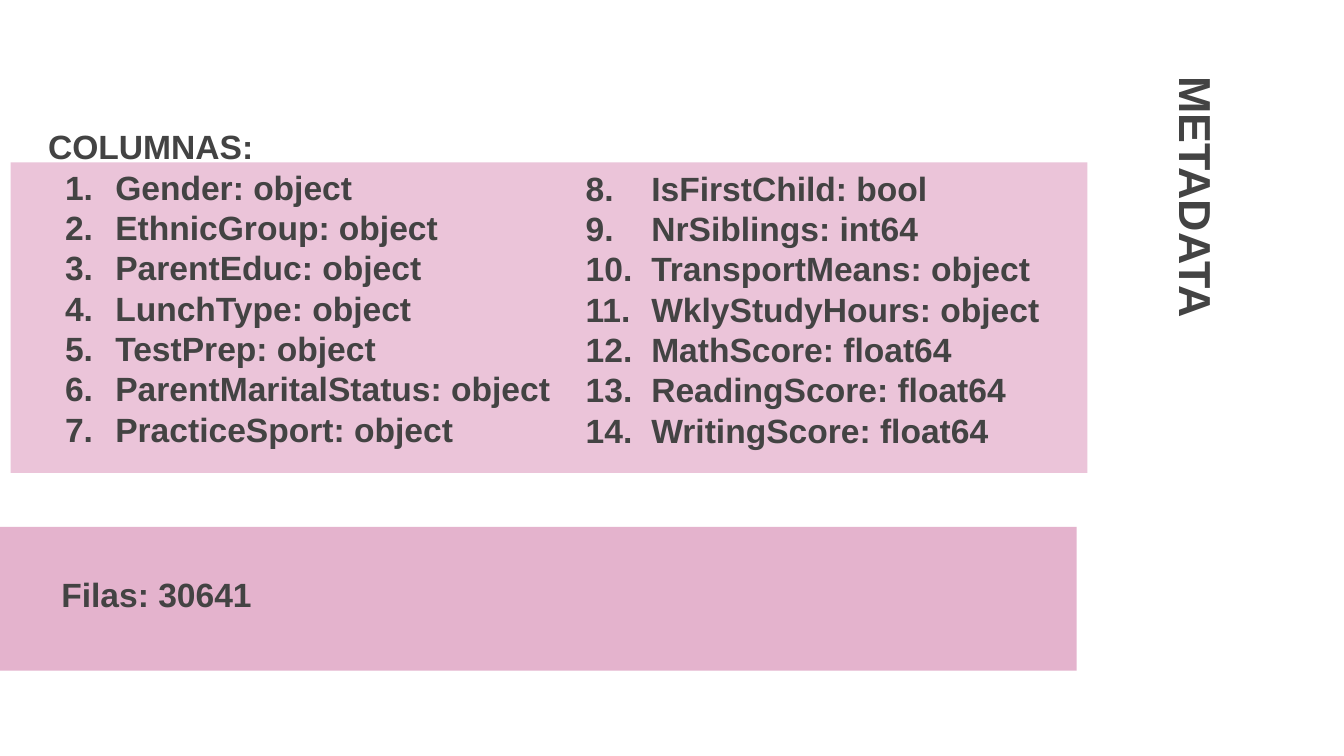
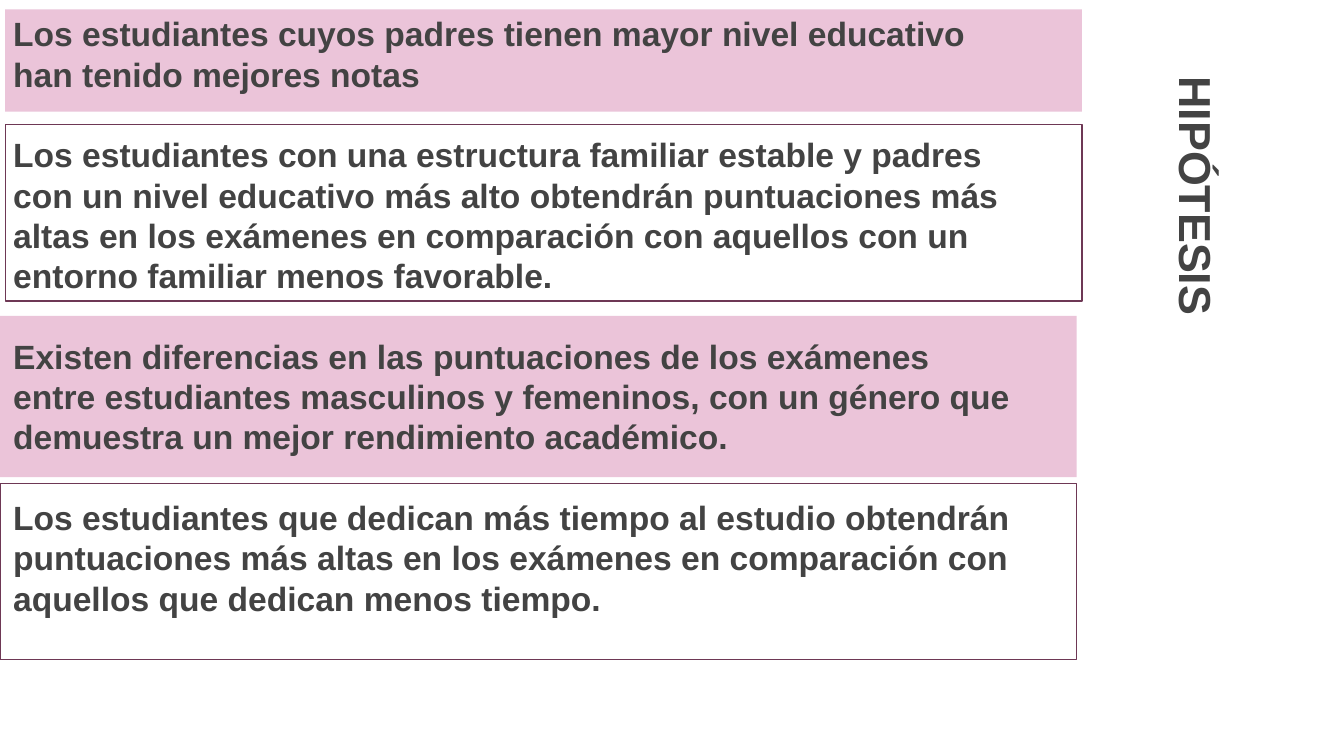
from dataclasses import dataclass

from lxml import etree
from pptx import Presentation
from pptx import util as u
from pptx.dml.color import RGBColor
from pptx.enum import shapes, text
from pptx.oxml.ns import qn

PINK = RGBColor(0xEB, 0xC4, 0xD9)
ROSE = RGBColor(0xD3, 0x84, 0xAE)
PLUM = RGBColor(0x6E, 0x38, 0x55)
GREY = RGBColor(0x43, 0x43, 0x43)
FONT = "Arial"
BODY_SIZE = 18
TITLE_SIZE = 24
LINE_PITCH = u.Pt(21.6)
INSET = 0.25
BAND_WIDTH = 20.35

LEFT_FIELDS = [
    "Gender: object",
    "EthnicGroup: object",
    "ParentEduc: object",
    "LunchType: object",
    "TestPrep: object",
    "ParentMaritalStatus: object",
    "PracticeSport: object",
]
RIGHT_FIELDS = [
    "IsFirstChild: bool",
    "NrSiblings: int64",
    "TransportMeans: object",
    "WklyStudyHours: object",
    "MathScore: float64",
    "ReadingScore: float64",
    "WritingScore: float64",
]
HYPOTHESES = [
    "Los estudiantes cuyos padres tienen mayor nivel educativo han tenido mejores notas",
    "Los estudiantes con una estructura familiar estable y padres con un nivel educativo "
    "más alto obtendrán puntuaciones más altas en los exámenes en comparación con "
    "aquellos con un entorno familiar menos favorable.",
    "Existen diferencias en las puntuaciones de los exámenes entre estudiantes masculinos "
    "y femeninos, con un género que demuestra un mejor rendimiento académico.",
    "Los estudiantes que dedican más tiempo al estudio obtendrán puntuaciones más altas "
    "en los exámenes en comparación con aquellos que dedican menos tiempo.",
]


@dataclass(frozen=True)
class Box:
    """Position and size in centimetres."""
    left: float
    top: float
    width: float
    height: float

    def lengths(self) -> list[u.Length]:
        return [u.Cm(side) for side in (self.left, self.top, self.width, self.height)]


@dataclass(frozen=True)
class Band:
    left: float
    top: float
    height: float
    fill: RGBColor | None = PINK
    opacity: int = 100


TITLE_BOX = Box(18.57, 4.57, 8.1, 1.35)
FIELDS_BAND = Band(0.2, 3.07, 5.87)
ROWS_BAND = Band(0, 9.96, 2.72, ROSE, 61)
HYPOTHESIS_FILLED = [Band(0, 5.97, 3.05), Band(0.1, 0.18, 1.93)]
HYPOTHESIS_OUTLINED = [Band(0.1, 2.36, 3.33, None), Band(0, 9.14, 3.33, None)]


def add_band(slide, band: Band) -> None:
    """Draw a filled band, or an outlined one when it has no fill."""
    box = Box(band.left, band.top, BAND_WIDTH, band.height)
    shape = slide.shapes.add_shape(shapes.MSO_SHAPE.RECTANGLE, *box.lengths())
    shape.shadow.inherit = False
    if band.fill is None:
        shape.fill.background()
        shape.line.color.rgb = PLUM
        shape.line.width = u.Pt(0.75)
        return
    shape.fill.solid()
    shape.fill.fore_color.rgb = band.fill
    shape.line.fill.background()
    if band.opacity < 100:
        color = shape.fill._xPr.find(f".//{qn('a:srgbClr')}")
        etree.SubElement(color, qn("a:alpha"), val=str(band.opacity * 1000))


def add_text_box(slide, box: Box, anchor=text.MSO_ANCHOR.TOP):
    shape = slide.shapes.add_textbox(*box.lengths())
    frame = shape.text_frame
    frame.word_wrap = True
    frame.vertical_anchor = anchor
    frame.margin_left = frame.margin_right = u.Cm(INSET)
    frame.margin_top = frame.margin_bottom = u.Cm(INSET)
    return shape


def add_paragraph(frame, words: str, size: int = BODY_SIZE):
    """Write into the first paragraph while it is unused, else into a new one."""
    paragraph = frame.paragraphs[0]
    if paragraph.runs:
        paragraph = frame.add_paragraph()
    if size == BODY_SIZE:
        paragraph.line_spacing = LINE_PITCH
    run = paragraph.add_run()
    run.text = words
    run.font.name = FONT
    run.font.size = u.Pt(size)
    run.font.bold = True
    run.font.color.rgb = GREY
    return paragraph


def add_numbered(frame, items: list[str], start: int, margin: float, hang: float) -> None:
    for item in items:
        properties = add_paragraph(frame, item)._p.get_or_add_pPr()
        properties.set("marL", str(u.Cm(margin)))
        properties.set("indent", str(-u.Cm(hang)))
        color = etree.SubElement(properties, qn("a:buClr"))
        etree.SubElement(color, qn("a:srgbClr"), val=str(GREY))
        etree.SubElement(properties, qn("a:buAutoNum"), type="arabicPeriod", startAt=str(start))


def add_side_title(slide, words: str) -> None:
    shape = add_text_box(slide, TITLE_BOX, text.MSO_ANCHOR.MIDDLE)
    shape.rotation = 90
    add_paragraph(shape.text_frame, words, TITLE_SIZE)


def build_metadata(slide) -> None:
    add_band(slide, FIELDS_BAND)
    add_side_title(slide, "METADATA")
    right = add_text_box(slide, Box(10.82, 2.92, 9.73, 5.77)).text_frame
    add_numbered(right, RIGHT_FIELDS, len(LEFT_FIELDS) + 1, margin=1.24, hang=1.24)
    left = add_text_box(slide, Box(0.66, 1.7, 10.64, 8.56), text.MSO_ANCHOR.BOTTOM).text_frame
    left.margin_bottom = u.Cm(INSET) + 2 * LINE_PITCH
    add_paragraph(left, "COLUMNAS:")
    add_numbered(left, LEFT_FIELDS, 1, margin=1.27, hang=0.95)
    add_band(slide, ROWS_BAND)
    rows = add_text_box(slide, Box(0.91, 10.59, 18.03, 1.45)).text_frame
    add_paragraph(rows, "Filas: 30641")


def build_hypotheses(slide) -> None:
    for band in HYPOTHESIS_FILLED:
        add_band(slide, band)
    add_side_title(slide, "HIPÓTESIS")
    frame = add_text_box(slide, Box(0, 0, 19.38, 5.77)).text_frame
    for hypothesis in HYPOTHESES:
        add_paragraph(frame, hypothesis).space_after = LINE_PITCH
    for band in HYPOTHESIS_OUTLINED:
        add_band(slide, band)


def main() -> None:
    presentation = Presentation()
    presentation.slide_width = u.Cm(25.4)
    presentation.slide_height = u.Cm(14.29)
    blank = presentation.slide_layouts[6]
    for build in (build_metadata, build_hypotheses):
        build(presentation.slides.add_slide(blank))
    presentation.save("out.pptx")


if __name__ == "__main__":
    main()
